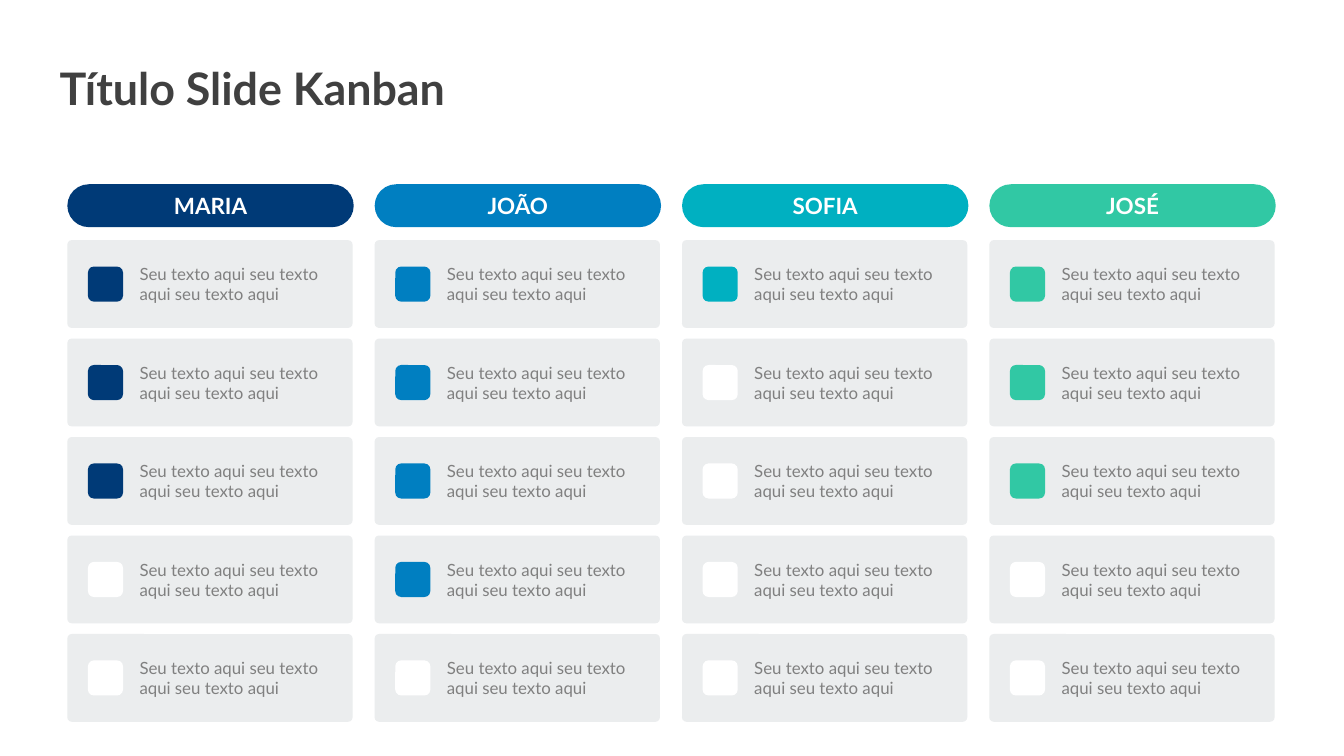
from pptx import Presentation
from pptx.dml.color import RGBColor
from pptx.enum.shapes import MSO_SHAPE
from pptx.enum.text import MSO_ANCHOR, MSO_AUTO_SIZE, PP_ALIGN
from pptx.util import Pt

ROUNDED = MSO_SHAPE.ROUNDED_RECTANGLE
MIDDLE = MSO_ANCHOR.MIDDLE
NO_AUTOFIT = MSO_AUTO_SIZE.NONE
LEFT, CENTER = PP_ALIGN.LEFT, PP_ALIGN.CENTER

NAVY = RGBColor(0x00, 0x3A, 0x77)
BLUE = RGBColor(0x00, 0x7F, 0xC1)
TEAL = RGBColor(0x00, 0xB0, 0xC1)
GREEN = RGBColor(0x31, 0xC8, 0xA4)
WHITE = RGBColor(0xFF, 0xFF, 0xFF)
CARD_GRAY = RGBColor(0xEB, 0xED, 0xEE)
TEXT_GRAY = RGBColor(0x80, 0x80, 0x80)
TITLE_GRAY = RGBColor(0x40, 0x40, 0x40)

TASK_TEXT = "Seu texto aqui seu texto aqui seu texto aqui"
TASK_COUNT = 5
PEOPLE = [("MARIA", NAVY, 3), ("JOÃO", BLUE, 4), ("SOFIA", TEAL, 1), ("JOSÉ", GREEN, 3)]
BOARD_LEFT, COLUMN_PITCH = 36.1, 164.65
HEADER_TOP, HEADER_WIDTH, HEADER_HEIGHT = 98.7, 153.4, 23
CARDS_TOP, CARD_PITCH = 128.7, 52.75
CARD_WIDTH, CARD_HEIGHT = 152.8, 47
CHECK_SIZE = 18.8
TASK_WIDTH, TASK_HEIGHT = 112.3, 30.2

prs = Presentation()
prs.slide_width, prs.slide_height = Pt(720), Pt(405)
slide = prs.slides.add_slide(prs.slide_layouts[5])


def add_rounded(left, top, width, height, color, rounding):
    shape = slide.shapes.add_shape(ROUNDED, Pt(left), Pt(top), Pt(width), Pt(height))
    shape.adjustments[0] = rounding
    shape.fill.solid()
    shape.fill.fore_color.rgb = color
    shape.line.fill.background()
    shape.shadow.inherit = False
    return shape


def write(shape, text, size, color, bold=False, align=LEFT):
    frame = shape.text_frame
    frame.text = text
    frame.word_wrap = True
    frame.auto_size = NO_AUTOFIT
    frame.vertical_anchor = MIDDLE
    paragraph = frame.paragraphs[0]
    paragraph.alignment = align
    font = paragraph.runs[0].font
    font.name, font.size, font.bold = "Lato", Pt(size), bold
    font.color.rgb = color


title = slide.shapes.title
title.left, title.top, title.width, title.height = Pt(24.8), Pt(32), Pt(517), Pt(30.2)
write(title, "Título Slide Kanban", 24, TITLE_GRAY, bold=True)

for column, (person, color, done_count) in enumerate(PEOPLE):
    left = BOARD_LEFT + column * COLUMN_PITCH
    header = add_rounded(left, HEADER_TOP, HEADER_WIDTH, HEADER_HEIGHT, color, 0.5)
    write(header, person, 12, WHITE, bold=True, align=CENTER)

    for row in range(TASK_COUNT):
        top = CARDS_TOP + row * CARD_PITCH
        add_rounded(left, top, CARD_WIDTH, CARD_HEIGHT, CARD_GRAY, 0.05)
        check_color = color if row < done_count else WHITE
        check_top = top + (CARD_HEIGHT - CHECK_SIZE) / 2
        add_rounded(left + 11, check_top, CHECK_SIZE, CHECK_SIZE, check_color, 0.17)
        task_top = top + (CARD_HEIGHT - TASK_HEIGHT) / 2
        task = slide.shapes.add_textbox(
            Pt(left + 31.6), Pt(task_top), Pt(TASK_WIDTH), Pt(TASK_HEIGHT)
        )
        write(task, TASK_TEXT, 9, TEXT_GRAY)

prs.save("out.pptx")
